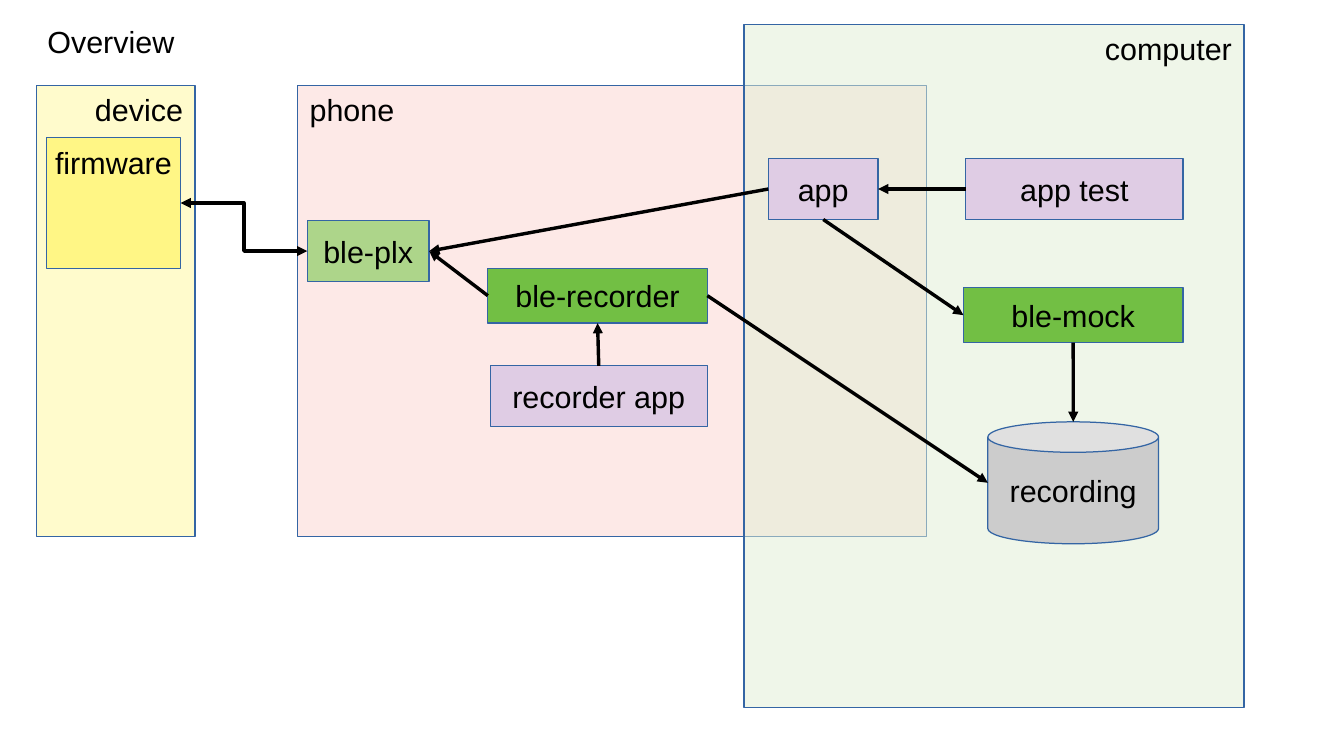
from lxml import etree
from pptx import Presentation
from pptx import util as u
from pptx.dml.color import RGBColor
from pptx.enum import shapes, text
from pptx.oxml.ns import qn

COLORS = {
    "text": "000000", "border": "3465A4",
    "device": "FFFBCC", "firmware": "FFF685", "phone": "FCD4D1",
    "computer": "E0EFD4", "app": "DFCCE4", "library": "72BF44",
    "ble": "ADD58A", "storage": "CCCCCC",
}
TOP, LEFT, BOTTOM, RIGHT = range(4)
ALIGN = text.PP_ALIGN
ANCHOR = text.MSO_ANCHOR
RECT = shapes.MSO_SHAPE.RECTANGLE
CAN = shapes.MSO_SHAPE.CAN


class Diagram:
    font, size = "Arial", 18

    def __init__(self, slide):
        self.s = slide

    def color(self, name):
        return RGBColor.from_string(COLORS[name])

    def label(self, tf, words, align, anchor):
        tf.vertical_anchor = anchor
        p = tf.paragraphs[0]
        p.text = words
        p.alignment = align
        for r in p.runs:
            r.font.name = self.font
            r.font.size = u.Pt(self.size)
            r.font.color.rgb = self.color("text")

    def title(self, words, *box):
        sp = self.s.shapes.add_textbox(*map(u.Pt, box))
        sp.text_frame.word_wrap = True
        self.label(sp.text_frame, words, ALIGN.LEFT, ANCHOR.TOP)

    def box(self, words, fill, *box, align=ALIGN.CENTER,
            anchor=ANCHOR.MIDDLE, kind=RECT, alpha=None):
        sp = self.s.shapes.add_shape(kind, *map(u.Pt, box))
        sp.shadow.inherit = False
        sp.fill.solid()
        sp.fill.fore_color.rgb = self.color(fill)
        if alpha:
            solid = sp._element.spPr.find(qn("a:solidFill"))
            etree.SubElement(solid[0], qn("a:alpha"), val=str(alpha * 1000))
        sp.line.color.rgb = self.color("border")
        sp.line.width = u.Pt(0)
        sp.text_frame.word_wrap = False
        self.label(sp.text_frame, words, align, anchor)
        return sp

    def side(self, sp, site):
        x, y = sp.left + sp.width // 2, sp.top + sp.height // 2
        return [(x, sp.top), (sp.left, y),
                (x, sp.top + sp.height), (sp.left + sp.width, y)][site]

    def arrow(self, start, start_site, end, end_site,
              kind=shapes.MSO_CONNECTOR.STRAIGHT, both=False):
        c = self.s.shapes.add_connector(
            kind, *self.side(start, start_site), *self.side(end, end_site))
        c.begin_connect(start, start_site)
        if end.auto_shape_type == RECT:
            c.end_connect(end, end_site)
        c.line.color.rgb = self.color("text")
        c.line.width = u.Pt(0)
        ln = c._element.spPr.find(qn("a:ln"))
        for tag in ("a:headEnd", "a:tailEnd") if both else ("a:tailEnd",):
            etree.SubElement(ln, qn(tag), type="triangle")
        etree.SubElement(c._element.spPr, qn("a:effectLst"))


def main():
    prs = Presentation()
    prs.slide_width, prs.slide_height = u.Pt(793.44), u.Pt(446.4)
    d = Diagram(prs.slides.add_slide(prs.slide_layouts[6]))

    d.box("device", "device", 21.6, 50.4, 93.6, 266.4,
          align=ALIGN.RIGHT, anchor=ANCHOR.TOP)
    firmware = d.box("firmware", "firmware", 27.4, 81.4, 79.2, 77,
                     anchor=ANCHOR.TOP)
    d.box("phone", "phone", 175.7, 50.4, 371.5, 266.4,
          align=ALIGN.LEFT, anchor=ANCHOR.TOP, alpha=50)
    d.box("computer", "computer", 439.2, 14.4, 295.2, 403.2,
          align=ALIGN.RIGHT, anchor=ANCHOR.TOP, alpha=50)

    app = d.box("app", "app", 453.6, 93.6, 64.8, 36)
    recorder = d.box("ble-recorder", "library", 288, 158.4, 129.6, 32.4)
    plx = d.box("ble-plx", "ble", 181.4, 130.3, 72, 36)
    app_test = d.box("app test", "app", 570.2, 93.6, 128.2, 36)
    mock = d.box("ble-mock", "library", 568.8, 169.9, 129.6, 32.4)
    recorder_app = d.box("recorder app", "app", 289.4, 216, 128.2, 36)
    recording = d.box("recording", "storage", 583.2, 249.1, 100.8, 72,
                      kind=CAN)

    d.arrow(firmware, RIGHT, plx, LEFT,
            kind=shapes.MSO_CONNECTOR.ELBOW, both=True)
    for link in [
        (app_test, LEFT, app, RIGHT),
        (app, LEFT, plx, RIGHT),
        (recorder, LEFT, plx, RIGHT),
        (recorder_app, TOP, recorder, BOTTOM),
        (recorder, RIGHT, recording, LEFT),
        (app, BOTTOM, mock, LEFT),
        (mock, BOTTOM, recording, TOP),
    ]:
        d.arrow(*link)

    d.title("Overview", 20.9, 10.1, 267.1, 27.4)
    prs.save("out.pptx")


if __name__ == "__main__":
    main()
